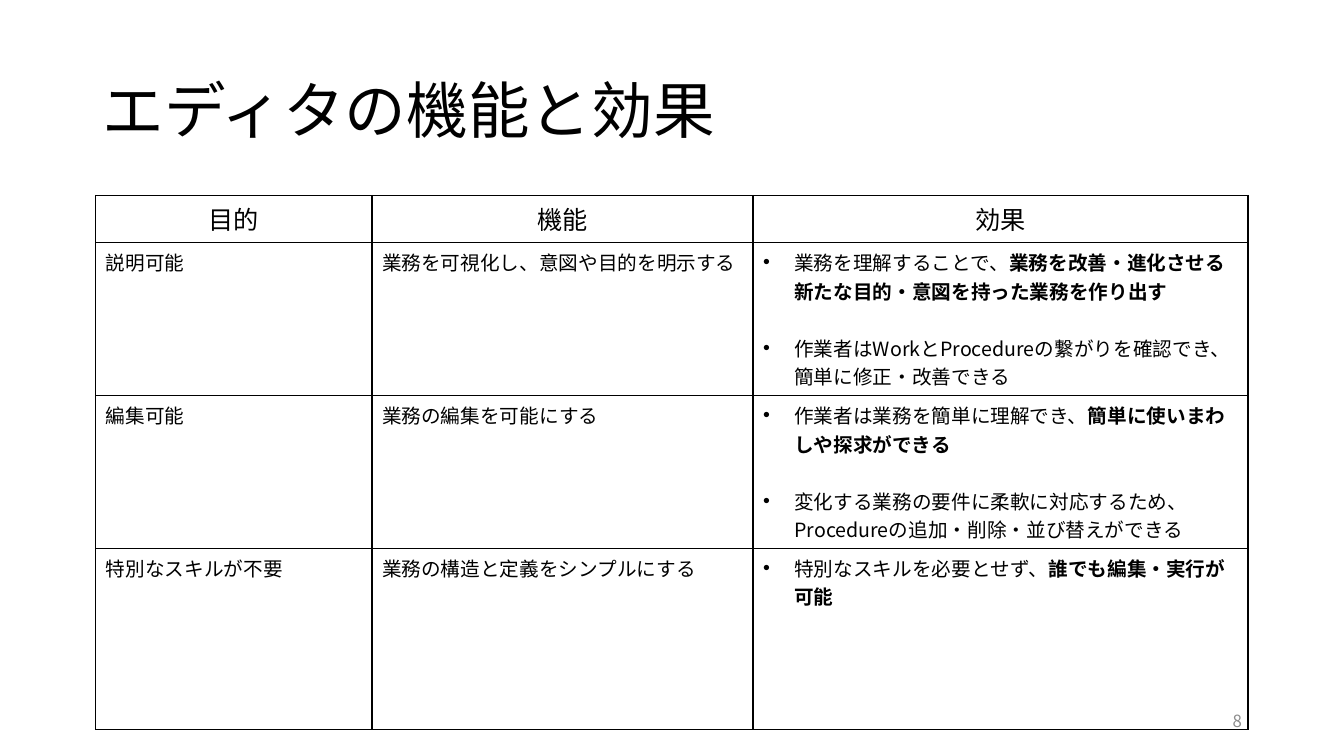
from dataclasses import dataclass

from lxml.etree import SubElement
from pptx import Presentation
from pptx.dml.color import RGBColor
from pptx.enum.text import MSO_ANCHOR, MSO_AUTO_SIZE, PP_ALIGN
from pptx.oxml.ns import qn
from pptx.util import Inches, Pt


@dataclass(frozen=True)
class Theme:
    font: str = "Noto Sans CJK JP"
    ink: str = "000000"
    muted: str = "8C8C8C"
    title: float = 44
    header: float = 18
    body: float = 14
    small: float = 12
    rule: float = 1
    bullet_gap: float = 20.3
    indent: float = 0.31


class SlideBuilder:
    def __init__(self, prs, theme):
        self.prs = prs
        self.theme = theme
        self.s = prs.slides.add_slide(prs.slide_layouts[5])

    def x(self, percent):
        return round(self.prs.slide_width * percent / 100)

    def y(self, percent):
        return round(self.prs.slide_height * percent / 100)

    def box(self, left, top, width, height):
        return self.x(left), self.y(top), self.x(width), self.y(height)

    def run(self, p, text, size, color=None, bold=False):
        r = p.add_run()
        r.text = text
        r.font.size = Pt(size)
        r.font.bold = bold
        r.font.name = self.theme.font
        r.font.color.rgb = RGBColor.from_string(color or self.theme.ink)
        SubElement(r._r.get_or_add_rPr(), qn("a:ea"), typeface=self.theme.font)

    def title(self, text, *place):
        sp = self.s.shapes.title
        sp.left, sp.top, sp.width, sp.height = self.box(*place)
        tf = sp.text_frame
        tf.auto_size = MSO_AUTO_SIZE.NONE
        tf.vertical_anchor = MSO_ANCHOR.MIDDLE
        p = tf.paragraphs[0]
        p.alignment = PP_ALIGN.LEFT
        p.line_spacing = 0.9
        self.run(p, text, self.theme.title)

    def page_number(self, text, *place):
        tf = self.s.shapes.add_textbox(*self.box(*place)).text_frame
        tf.word_wrap = True
        tf.vertical_anchor = MSO_ANCHOR.MIDDLE
        p = tf.paragraphs[0]
        p.alignment = PP_ALIGN.RIGHT
        self.run(p, text, self.theme.small, self.theme.muted)

    def bullet(self, p):
        pPr = p._p.get_or_add_pPr()
        pPr.set("marL", str(Inches(self.theme.indent)))
        pPr.set("indent", str(-Inches(self.theme.indent)))
        SubElement(pPr, qn("a:buFont"), typeface="Arial")
        SubElement(pPr, qn("a:buChar"), char="•")

    def outline(self, cell):
        tcPr = cell._tc.get_or_add_tcPr()
        for side in "LRTB":
            ln = SubElement(tcPr, qn(f"a:ln{side}"), w=str(Pt(self.theme.rule)))
            fill = SubElement(ln, qn("a:solidFill"))
            SubElement(fill, qn("a:srgbClr"), val=self.theme.ink)
        cell.fill.background()

    def fill_cell(self, cell, content, is_header):
        self.outline(cell)
        tf = cell.text_frame
        if isinstance(content, str):
            p = tf.paragraphs[0]
            p.alignment = PP_ALIGN.CENTER if is_header else PP_ALIGN.LEFT
            self.run(p, content, self.theme.header if is_header else self.theme.body)
            return
        for i, (plain, strong) in enumerate(content):
            p = tf.add_paragraph() if i else tf.paragraphs[0]
            if i:
                p.space_before = Pt(self.theme.bullet_gap)
            self.bullet(p)
            self.run(p, plain, self.theme.body)
            if strong:
                self.run(p, strong, self.theme.body, bold=True)

    def table(self, rows, left, top, widths, heights):
        place = self.box(left, top, sum(widths), sum(heights))
        tbl = self.s.shapes.add_table(len(rows), len(widths), *place).table
        tbl.first_row = tbl.horz_banding = False
        for col, width in zip(tbl.columns, widths):
            col.width = self.x(width)
        for i, (row, height) in enumerate(zip(rows, heights)):
            tbl.rows[i].height = self.y(height)
            for j, content in enumerate(row):
                self.fill_cell(tbl.cell(i, j), content, i == 0)


ROWS = [
    ("目的", "機能", "効果"),
    ("説明可能", "業務を可視化し、意図や目的を明示する", [
        ("業務を理解することで、", "業務を改善・進化させる新たな目的・意図を持った業務を作り出す"),
        ("作業者はWorkとProcedureの繋がりを確認でき、簡単に修正・改善できる", ""),
    ]),
    ("編集可能", "業務の編集を可能にする", [
        ("作業者は業務を簡単に理解でき、", "簡単に使いまわしや探求ができる"),
        ("変化する業務の要件に柔軟に対応するため、Procedureの追加・削除・並び替えができる", ""),
    ]),
    ("特別なスキルが不要", "業務の構造と定義をシンプルにする", [
        ("特別なスキルを必要とせず、", "誰でも編集・実行が可能"),
    ]),
]


def main():
    prs = Presentation()
    prs.slide_width, prs.slide_height = Inches(13.33), Inches(7.5)
    slide = SlideBuilder(prs, Theme())
    slide.title("エディタの機能と効果", 6.9, 5.33, 86.25, 19.33)
    slide.page_number("8", 70.65, 92.67, 22.5, 5.33)
    slide.table(ROWS, 7.13, 25.87, (20.55, 28.35, 36.83), (6.22, 20.24, 20.24, 23.94))
    prs.save("out.pptx")


if __name__ == "__main__":
    main()
